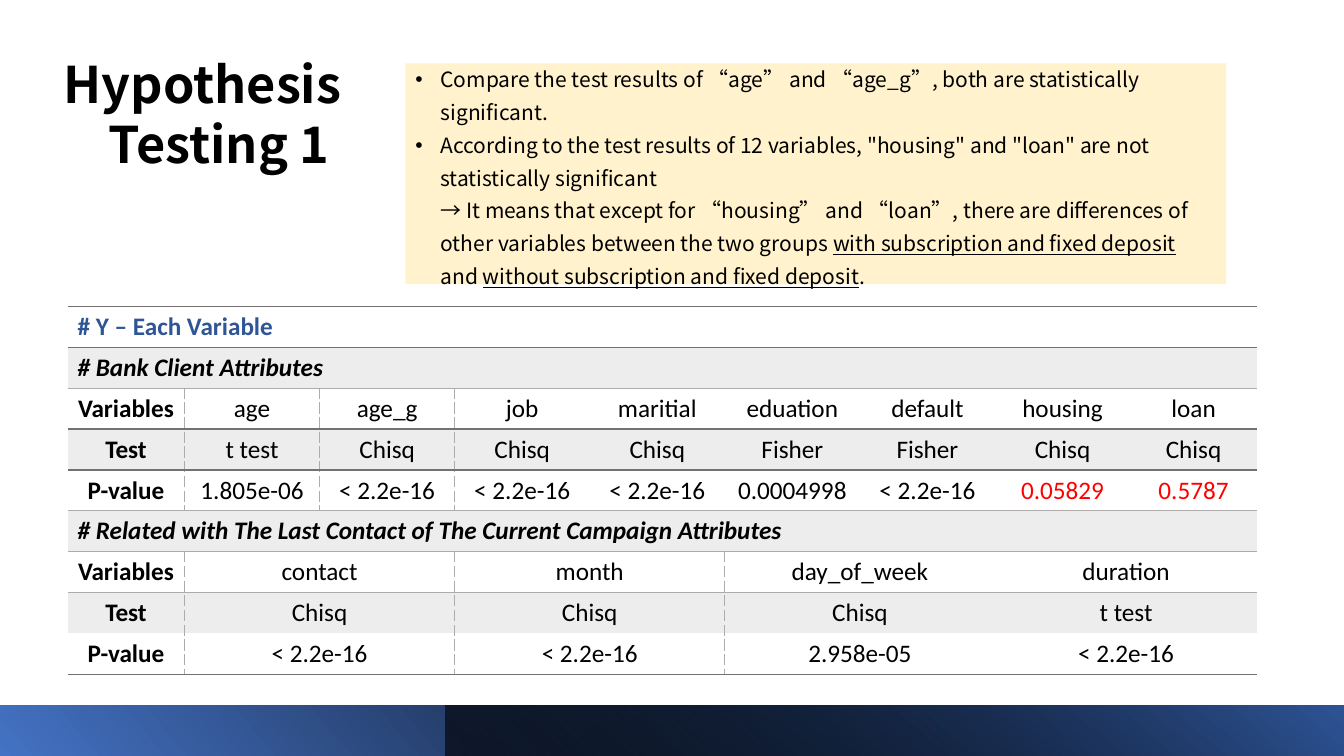
import dataclasses

import lxml.etree
import pptx
import pptx.dml.color
import pptx.enum.shapes
import pptx.enum.text
import pptx.oxml.ns
import pptx.util

Inches = pptx.util.Inches
qn = pptx.oxml.ns.qn
ALIGN = pptx.enum.text.PP_ALIGN
MIDDLE = pptx.enum.text.MSO_ANCHOR.MIDDLE


@dataclasses.dataclass(frozen=True)
class Theme:
    head: str = "Noto Sans CJK TC"
    body: str = "Calibri"
    title: int = 36
    note: int = 15
    cell: int = 18
    ink: str = "000000"
    blue: str = "2F5597"
    sky: str = "4472C4"
    red: str = "FF0000"
    cream: str = "FFF2CC"
    band: str = "EDEDED"
    dark: str = "767171"
    light: str = "AFABAB"


THEME = Theme()

NOTES = [
    [("Compare the test results of “age” and “age_g”, both are statistically significant.", False)],
    [("According to the test results of 12 variables, \"housing\" and \"loan\" are not "
      "statistically significant\n→ It means that except for “housing” and “loan”, there are "
      "differences of other variables between the two groups ", False),
     ("with subscription and fixed deposit", True),
     (" and ", False),
     ("without subscription and fixed deposit", True),
     (".", False)],
]

COLS = [1.16] + [1.34] * 7 + [1.26]
LOW = "< 2.2e-16"
ROWS = [
    ["# Y – Each Variable"],
    ["# Bank Client Attributes"],
    ["Variables", "age", "age_g", "job", "maritial", "eduation", "default", "housing", "loan"],
    ["Test", "t test", "Chisq", "Chisq", "Chisq", "Fisher", "Fisher", "Chisq", "Chisq"],
    ["P-value", "1.805e-06", LOW, LOW, LOW, "0.0004998", LOW, "0.05829", "0.5787"],
    ["# Related with The Last Contact of The Current Campaign Attributes"],
    ["Variables", "contact", "month", "day_of_week", "duration"],
    ["Test", "Chisq", "Chisq", "Chisq", "t test"],
    ["P-value", LOW, LOW, "2.958e-05", LOW],
]
BANDS = {1, 3, 5, 7}
WEAK = {"0.05829", "0.5787"}
# Line colour above each row
RULES = {0: THEME.dark, 1: THEME.dark, 2: THEME.light, 3: THEME.dark,
         5: THEME.light, 6: THEME.light}
NO_STYLE = "{2D5ABB26-0587-4C30-8999-92F81FD0307C}"


def rgb(code):
    return pptx.dml.color.RGBColor.from_string(code)


def place(shape, box):
    shape.left, shape.top, shape.width, shape.height = map(Inches, box)


def write(para, text, font=THEME.body, size=THEME.cell, color=THEME.ink,
          bold=False, italic=False, under=False, align=ALIGN.LEFT):
    para.alignment = align
    for num, line in enumerate(text.split("\n")):
        if num:
            para.add_line_break()
        run = para.add_run()
        run.text = line
        style = run.font
        style.name, style.size = font, pptx.util.Pt(size)
        style.bold, style.italic, style.underline = bold, italic, under
        style.color.rgb = rgb(color)
        east = lxml.etree.Element(qn("a:ea"), typeface=font)
        run.font._element.find(qn("a:latin")).addnext(east)


def hang(para, left):
    props = para._p.get_or_add_pPr()
    props.set("marL", str(Inches(left)))
    props.set("indent", str(-Inches(left)))


def setup(shape, box):
    place(shape, box)
    frame = shape.text_frame
    frame.word_wrap = True
    frame.auto_size = pptx.enum.text.MSO_AUTO_SIZE.NONE
    frame.vertical_anchor = MIDDLE
    return frame


def heading(slide, box):
    para = setup(slide.shapes.title, box).paragraphs[0]
    hang(para, 0.45)
    write(para, "Hypothesis\nTesting 1", font=THEME.head, size=THEME.title, bold=True)


def notes(slide, box):
    shape = slide.placeholders[1]
    frame = setup(shape, box)
    shape.fill.solid()
    shape.fill.fore_color.rgb = rgb(THEME.cream)
    for num, parts in enumerate(NOTES):
        para = frame.add_paragraph() if num else frame.paragraphs[0]
        hang(para, 0.25)
        para.line_spacing = 1.3
        para.space_before = pptx.util.Pt(0)
        for text, under in parts:
            write(para, text, font=THEME.head, size=THEME.note, under=under)


def strip(slide, box, stops, angle, alpha=None):
    kind = pptx.enum.shapes.MSO_SHAPE.RECTANGLE
    shape = slide.shapes.add_shape(kind, *map(Inches, box))
    shape.shadow.inherit = False
    shape.line.fill.background()
    shape.fill.gradient()
    shape.fill.gradient_angle = angle
    for stop, (spot, color) in zip(shape.fill.gradient_stops, stops):
        stop.position = spot
        stop.color.rgb = rgb(color)
    if alpha:
        first = next(shape.element.iter(qn("a:srgbClr")))
        lxml.etree.SubElement(first, qn("a:alpha"), val=str(alpha * 1000))


def footer(slide, box):
    left, top, width, height = box
    strip(slide, box, [(0, THEME.sky), (0.78, THEME.ink)], 40)
    inset = 4.42
    strip(slide, (left + inset, top, width - inset, height),
          [(0, THEME.ink), (1, THEME.blue)], 50, alpha=63)


def edge(cell, side, color, dash="solid"):
    props = cell._tc.get_or_add_tcPr()
    line = lxml.etree.SubElement(props, qn("a:ln" + side), w=str(pptx.util.Pt(1)))
    fill = lxml.etree.SubElement(line, qn("a:solidFill"))
    lxml.etree.SubElement(fill, qn("a:srgbClr"), val=color)
    lxml.etree.SubElement(line, qn("a:prstDash"), val=dash)


def finish(cell, row, col, step):
    # Borders come before the fill
    if step and col in (1, 1 + step):
        edge(cell, "L", THEME.light, "sysDash")
    if row in RULES:
        edge(cell, "T", RULES[row])
    if row == len(ROWS) - 1:
        edge(cell, "B", THEME.dark)
    if row in BANDS:
        cell.fill.solid()
        cell.fill.fore_color.rgb = rgb(THEME.band)
    else:
        cell.fill.background()


def results(slide, box):
    frame = slide.shapes.add_table(len(ROWS), len(COLS), *map(Inches, box))
    table = frame.table
    table.first_row = table.horz_banding = False
    next(frame.element.iter(qn("a:tableStyleId"))).text = NO_STYLE
    for col, width in zip(table.columns, COLS):
        col.width = Inches(width)
    for row, texts in enumerate(ROWS):
        table.rows[row].height = Inches(box[3] / len(ROWS))
        # Columns taken by each value; none in section rows
        step = 8 // (len(texts) - 1) if len(texts) > 1 else 0
        for col in range(len(COLS)):
            finish(table.cell(row, col), row, col, step)
        for num, text in enumerate(texts):
            col = 1 + (num - 1) * step if num else 0
            cell = table.cell(row, col)
            last = col + step - 1 if num else col
            if not step:
                last = 8 if row else 6
            if last > col:
                cell.merge(table.cell(row, last))
            cell.vertical_anchor = MIDDLE
            color = THEME.red if text in WEAK else THEME.ink if row else THEME.blue
            write(cell.text_frame.paragraphs[0], text, color=color, bold=not num,
                  italic=not step and row > 0,
                  align=ALIGN.CENTER if step else ALIGN.LEFT)


def main():
    deck = pptx.Presentation()
    deck.slide_width, deck.slide_height = Inches(13.33), Inches(7.5)
    slide = deck.slides.add_slide(deck.slide_layouts[1])
    notes(slide, (4.02, 0.63, 8.14, 2.19))
    footer(slide, (0, 7, 13.33, 0.5))
    heading(slide, (0.53, 0.4, 12.06, 1.45))
    results(slide, (0.67, 3.04, sum(COLS), 3.6))
    deck.save("out.pptx")


if __name__ == "__main__":
    main()
